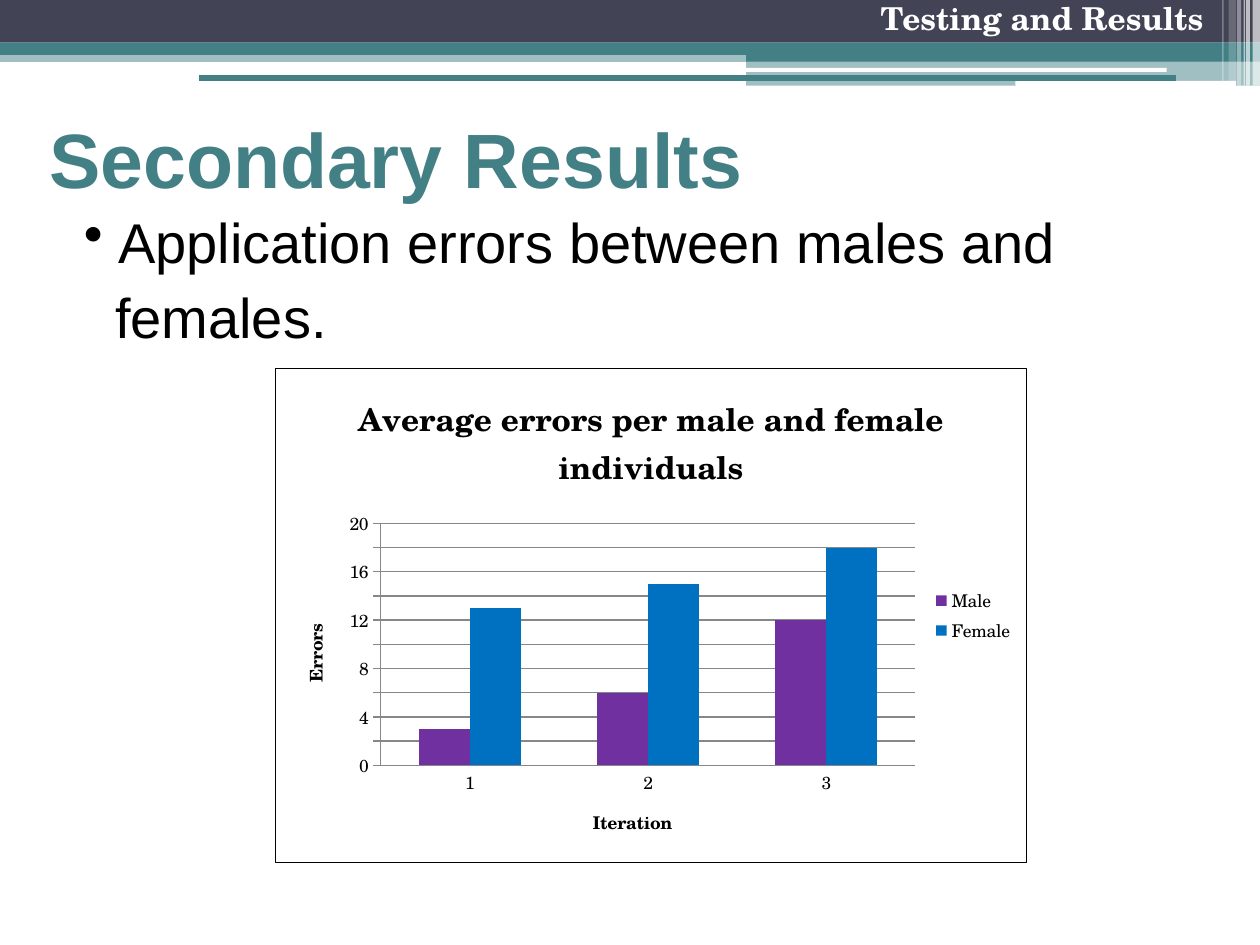
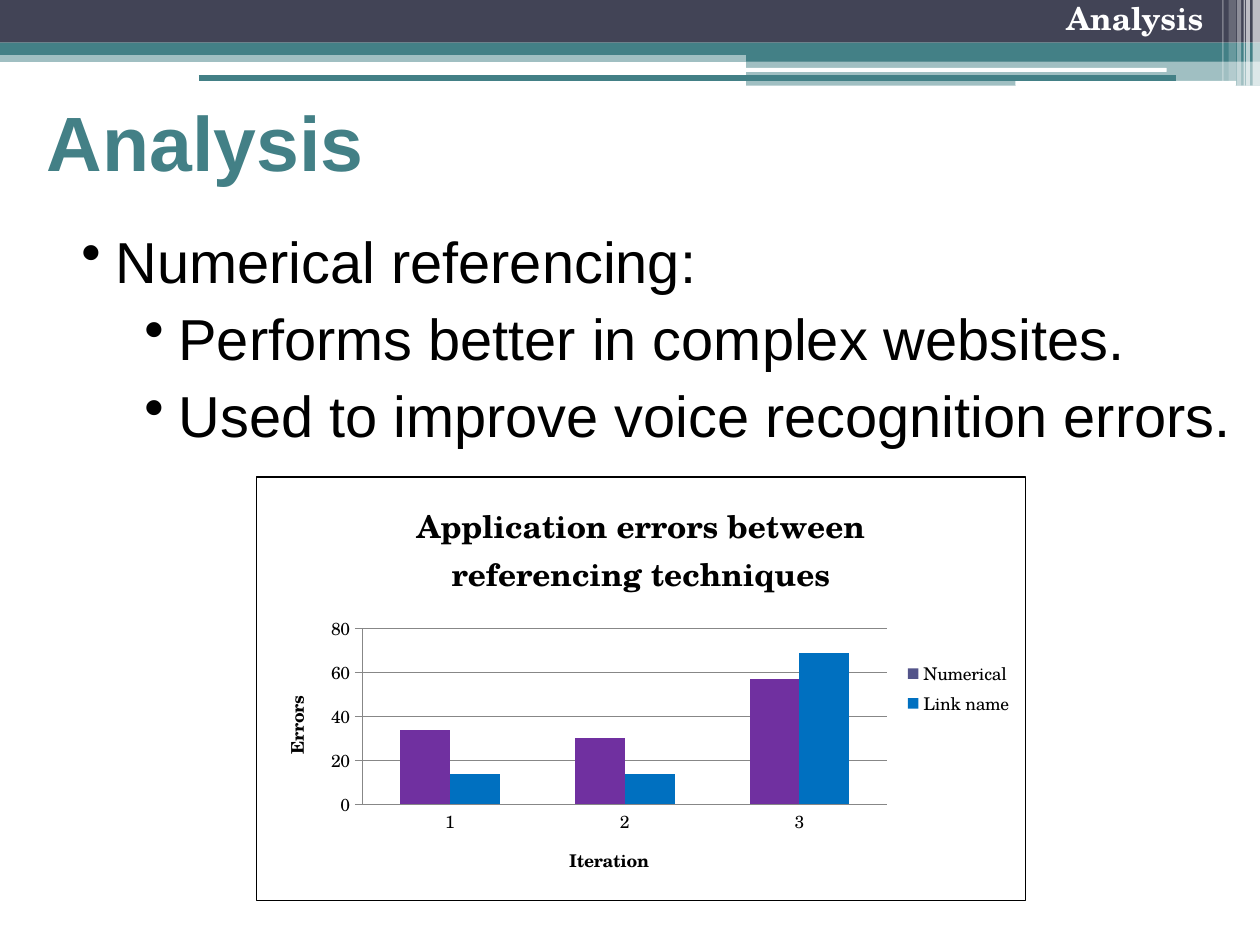
"""Build two results slides with a shared banded header, bullets and a column chart."""
from lxml.etree import SubElement
from pptx import Presentation
from pptx.chart.data import CategoryChartData
from pptx.dml.color import RGBColor
from pptx.enum.chart import XL_CHART_TYPE as CHART, XL_LEGEND_POSITION as LEGEND, XL_TICK_MARK as TICK
from pptx.enum.shapes import MSO_CONNECTOR as CONN, MSO_SHAPE as SHAPE
from pptx.enum.text import MSO_ANCHOR as ANCHOR, MSO_AUTO_SIZE as AUTO, PP_ALIGN as ALIGN
from pptx.oxml import parse_xml
from pptx.oxml.ns import nsdecls, qn
from pptx.util import Cm, Pt

COLORS = {
    "navy": "424456", "teal": "438086", "white": "FFFFFF", "black": "000000",
    "purple": "7030A0", "blue": "0070C0", "indigo": "53548A", "grid": "878787",
}
SANS, SERIF = "Arial", "TeX Gyre Schola"
BANDS = [
    (SHAPE.RECTANGLE, (0, 1.02, 25.4, 0.23), "teal", 50),
    (SHAPE.RECTANGLE, (0, 0, 25.4, 0.86), "navy", 100),
    (SHAPE.RECTANGLE, (0, 0.86, 25.4, 0.25), "teal", 100),
    (SHAPE.RECTANGLE, (15.04, 0.99, 10.36, 0.25), "teal", 100),
    (SHAPE.RECTANGLE, (15.04, 1.22, 10.36, 0.51), "teal", 50),
    (SHAPE.ROUNDED_RECTANGLE, (15.01, 1.37, 8.51, 0.08), "white", 100),
    (SHAPE.ROUNDED_RECTANGLE, (20.47, 1.63, 4.45, 0.1), "white", 100),
]
STRIPES = [
    (25.25, 0.15, 1.73, 65), (25.12, 0.08, 1.73, 65), (25.07, 0.03, 1.73, 60),
    (24.94, 0.08, 1.73, 40), (24.77, 0.15, 1.63, 20), (24.64, 0.03, 1.63, 30),
]
BULLET_LEFT, SUB_LEFT, PLAIN_LEFT, HANG = 3.1, 4.37, 3.04, 0.69


def rgb(name):
    return RGBColor.from_string(COLORS[name])


def box(at):
    return [Cm(v) for v in at]


def set_font(font, name, size, color, bold=False):
    font.name, font.size, font.bold = name, Pt(size), bold
    font.color.rgb = rgb(color)


def add_band(s, kind, at, color, opacity):
    sp = s.shapes.add_shape(kind, *box(at))
    sp.shadow.inherit = False
    sp.line.fill.background()
    sp.fill.solid()
    sp.fill.fore_color.rgb = rgb(color)
    if opacity < 100:
        SubElement(sp.fill._xPr.find(f".//{qn('a:srgbClr')}"), qn("a:alpha"), val=str(opacity * 1000))


def add_text_frame(s, at):
    tf = s.shapes.add_textbox(*box(at)).text_frame
    tf.word_wrap = True
    return tf


def add_header(s, section):
    for band in BANDS:
        add_band(s, *band)
    for left, width, height, opacity in STRIPES:
        add_band(s, SHAPE.RECTANGLE, (left, 0, width, height), "white", opacity)
    p = add_text_frame(s, (9.7, 0, 14.81, 1.27)).paragraphs[0]
    p.text = section
    p.alignment, p.line_spacing, p.space_before = ALIGN.RIGHT, 0.8, Pt(3.6)
    set_font(p.font, SERIF, 18, "white", True)
    rule = s.shapes.add_connector(CONN.STRAIGHT, *box((4.01, 1.57, 23.7, 1.57)))
    rule.line.color.rgb = rgb("teal")
    rule.line.width = Pt(3)
    SubElement(rule._element.spPr, qn("a:effectLst"))


def set_title(s, text, at):
    sp = s.shapes.title
    sp.left, sp.top, sp.width, sp.height = box(at)
    tf = sp.text_frame
    tf.text = text
    tf.auto_size, tf.vertical_anchor = AUTO.NONE, ANCHOR.MIDDLE
    p = tf.paragraphs[0]
    p.alignment = ALIGN.LEFT
    set_font(p.font, SANS, 44, "teal", True)


def add_bullets(s, at, size, items):
    tf = add_text_frame(s, at)
    for i, (text, left) in enumerate(items):
        p = tf.add_paragraph() if i else tf.paragraphs[0]
        p.text = text
        p.space_before, p.space_after = Pt(3), Pt(1.5)
        set_font(p.font, SANS, size, "black")
        pPr = p._p.get_or_add_pPr()
        pPr.set("marL", str(Cm(left)))
        if left != PLAIN_LEFT:
            pPr.set("indent", str(-Cm(HANG)))
            bullet = parse_xml(f'<a:buChar {nsdecls("a")} char="•"/>')
            pPr.insert_element_before(bullet, "a:tabLst", "a:defRPr", "a:extLst")


def set_chart_text(owner, text, size):
    tf = owner.text_frame
    tf.text = text
    set_font(tf.paragraphs[0].font, SERIF, size, "black", True)


def add_border(chart):
    spPr = parse_xml(
        f'<c:spPr {nsdecls("c", "a")}><a:noFill/><a:ln w="{Pt(0.75)}"><a:solidFill>'
        f'<a:srgbClr val="{COLORS["black"]}"/></a:solidFill></a:ln></c:spPr>')
    chart._chartSpace.find(qn("c:chart")).addnext(spPr)


def add_column_chart(s, at, title, series, top, step):
    data = CategoryChartData()
    data.categories = ["1", "2", "3"]
    for name, values, _ in series:
        data.add_series(name, values)
    chart = s.shapes.add_chart(CHART.COLUMN_CLUSTERED, *box(at), data).chart
    set_font(chart.font, SERIF, 10, "black")
    add_border(chart)
    chart.has_title = True
    set_chart_text(chart.chart_title, title, 18)
    chart.has_legend = True
    chart.legend.position, chart.legend.include_in_layout = LEGEND.RIGHT, False
    cat, val = chart.category_axis, chart.value_axis
    for axis, text, tick in ((cat, "Iteration", TICK.NONE), (val, "Errors", TICK.OUTSIDE)):
        set_chart_text(axis.axis_title, text, 10)
        axis.major_tick_mark, axis.minor_tick_mark = tick, TICK.NONE
        axis.format.line.color.rgb = rgb("grid")
    val.minimum_scale, val.maximum_scale, val.major_unit = 0, top, step
    val.major_gridlines.format.line.color.rgb = rgb("grid")
    plot = chart.plots[0]
    plot.gap_width, plot.overlap, plot.vary_by_categories = 150, 0, False
    for ser, (_, _, color) in zip(plot.series, series):
        ser.format.fill.solid()
        ser.format.fill.fore_color.rgb = rgb(color)
    return chart


def color_points(ser, color):
    for i in range(len(ser.values)):
        fill = ser.points[i].format.fill
        fill.solid()
        fill.fore_color.rgb = rgb(color)


def add_results_slide(prs):
    s = prs.slides.add_slide(prs.slide_layouts[5])
    add_header(s, "Testing and Results")
    add_bullets(s, (-0.97, 4.06, 28.27, 3.56), 32, [
        ("Application errors between males and", BULLET_LEFT),
        ("females.", PLAIN_LEFT)])
    set_title(s, "Secondary Results", (0.74, 1.68, 17.37, 3))
    add_column_chart(s, (5.54, 7.42, 15.16, 9.98), "Average errors per male and female individuals", [
        ("Male", (3, 6, 12), "purple"), ("Female", (13, 15, 18), "blue")], 20, 2)


def add_analysis_slide(prs):
    s = prs.slides.add_slide(prs.slide_layouts[5])
    add_header(s, "Analysis")
    add_bullets(s, (-1.02, 4.42, 27.1, 5.08), 33, [
        ("Numerical referencing:", BULLET_LEFT),
        ("Performs better in complex websites.", SUB_LEFT),
        ("Used to improve voice recognition errors.", SUB_LEFT)])
    set_title(s, "Analysis", (0.69, 1.52, 17.37, 2.64))
    chart = add_column_chart(s, (5.16, 9.6, 15.52, 8.56), "Application errors between referencing techniques", [
        ("Numerical", (34, 30, 57), "indigo"), ("Link name", (14, 14, 69), "blue")], 80, 20)
    color_points(chart.plots[0].series[0], "purple")


def main():
    prs = Presentation()
    prs.slide_width, prs.slide_height = Cm(25.4), Cm(19.05)
    add_results_slide(prs)
    add_analysis_slide(prs)
    prs.save("out.pptx")


if __name__ == "__main__":
    main()
